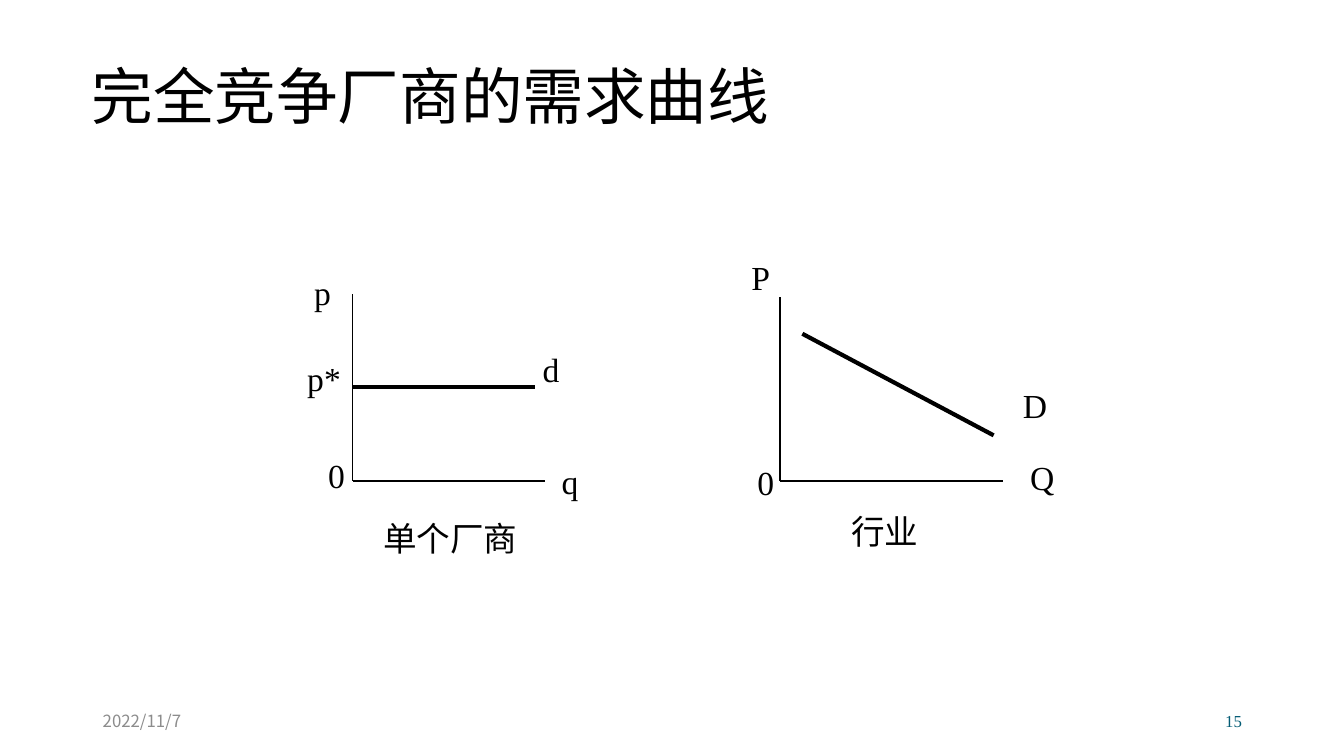
from dataclasses import dataclass

from lxml.etree import SubElement
from pptx import Presentation
from pptx.dml.color import RGBColor
from pptx.enum.shapes import MSO_CONNECTOR
from pptx.enum.text import MSO_ANCHOR, MSO_AUTO_SIZE, PP_ALIGN
from pptx.oxml.ns import qn
from pptx.util import Cm, Pt

CJK = "Noto Sans CJK SC"
SERIF = "Times New Roman"
BLACK = "000000"
LABEL_HEIGHT = 1.3


@dataclass
class Label:
    text: str
    left: float
    top: float
    width: float
    height: float = LABEL_HEIGHT
    size: float = 24
    font: str = SERIF
    color: str = BLACK
    align: PP_ALIGN = PP_ALIGN.RIGHT
    line_spacing: float = 1.0
    fixed: bool = False  # fixed boxes wrap and centre their text vertically


@dataclass
class Segment:
    x1: float
    y1: float
    x2: float
    y2: float
    weight: float = 1


@dataclass
class Diagram:
    origin_x: float
    origin_y: float
    axis_top: float
    axis_right: float
    demand: Segment
    labels: list[Label]


def rgb(value: str) -> RGBColor:
    return RGBColor.from_string(value)


def draw_label(shapes, label: Label) -> None:
    box = shapes.add_textbox(Cm(label.left), Cm(label.top), Cm(label.width), Cm(label.height))
    frame = box.text_frame
    frame.text = label.text
    frame.word_wrap = label.fixed
    frame.auto_size = MSO_AUTO_SIZE.NONE if label.fixed else MSO_AUTO_SIZE.SHAPE_TO_FIT_TEXT
    frame.vertical_anchor = MSO_ANCHOR.MIDDLE if label.fixed else MSO_ANCHOR.TOP
    paragraph = frame.paragraphs[0]
    paragraph.alignment = label.align
    paragraph.line_spacing = label.line_spacing
    font = paragraph.runs[0].font
    font.size = Pt(label.size)
    font.color.rgb = rgb(label.color)
    font.name = label.font
    # Chinese characters take the East Asian font
    SubElement(paragraph.runs[0]._r.get_or_add_rPr(), qn("a:ea")).set("typeface", CJK)


def draw_segment(shapes, segment: Segment) -> None:
    line = shapes.add_connector(MSO_CONNECTOR.STRAIGHT, Cm(segment.x1), Cm(segment.y1),
                                Cm(segment.x2), Cm(segment.y2))
    line.line.color.rgb = rgb(BLACK)
    line.line.width = Pt(segment.weight)
    SubElement(line._element.spPr, qn("a:effectLst"))


def draw_diagram(slide, diagram: Diagram) -> None:
    group = slide.shapes.add_group_shape()
    x, y = diagram.origin_x, diagram.origin_y
    price_axis = Segment(x, diagram.axis_top, x, y)
    quantity_axis = Segment(x, y, diagram.axis_right, y)
    for segment in (price_axis, quantity_axis, diagram.demand):
        draw_segment(group.shapes, segment)
    for label in diagram.labels:
        draw_label(group.shapes, label)


# Title and footer
PAGE_TEXTS = [
    Label("完全竞争厂商的需求曲线", 2.06, 0.91, 22.86, 3.18, 44, CJK,
          align=PP_ALIGN.LEFT, line_spacing=0.9, fixed=True),
    Label("2022/11/7", 2.34, 17.65, 7.62, 1.02, 12, CJK, "8C8C8C", PP_ALIGN.LEFT, fixed=True),
    Label("15", 23.93, 17.65, 7.62, 1.02, 12, color="045C75", fixed=True),
]

# Demand facing a single firm
FIRM = Diagram(8.89, 12.12, 7.42, 13.74, Segment(8.89, 9.75, 13.49, 9.75, 3), [
    Label("p*", 7.47, 8.89, 1.37),
    Label("q", 13.89, 11.48, 0.94),
    Label("0", 8.0, 11.33, 0.94),
    Label("p", 7.65, 6.73, 0.94),
    Label("d", 13.41, 8.66, 0.94),
    Label("单个厂商", 9.35, 12.93, 3.94),
])

# Demand of the whole industry
INDUSTRY = Diagram(19.66, 12.12, 7.49, 25.27, Segment(20.22, 8.41, 25.04, 10.97, 3), [
    Label("行业", 21.18, 12.75, 2.21),
    Label("D", 25.5, 9.58, 1.14),
    Label("P", 18.67, 6.35, 0.99),
    Label("Q", 25.68, 11.4, 1.14),
    Label("0", 18.82, 11.51, 0.94),
])


def main() -> None:
    presentation = Presentation()
    presentation.slide_width = Cm(33.87)
    presentation.slide_height = Cm(19.05)
    slide = presentation.slides.add_slide(presentation.slide_layouts[6])
    for label in PAGE_TEXTS:
        draw_label(slide.shapes, label)
    for diagram in (FIRM, INDUSTRY):
        draw_diagram(slide, diagram)
    presentation.save("out.pptx")


if __name__ == "__main__":
    main()
